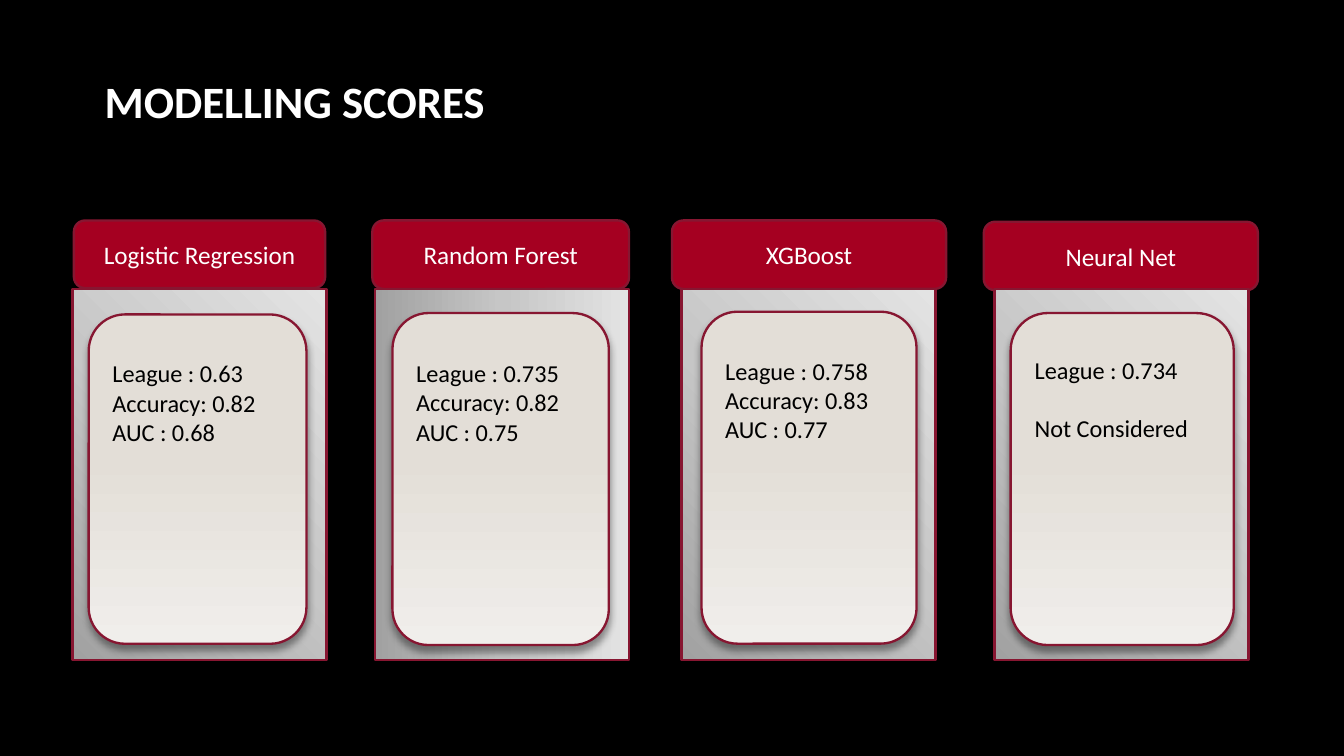
from dataclasses import dataclass

from lxml import etree
from pptx import Presentation
from pptx import util as u
from pptx.dml.color import RGBColor
from pptx.enum import shapes, text
from pptx.oxml import ns

SLIDE_W = u.Inches(10)
SLIDE_H = SLIDE_W * 9 // 16
FONT = "Calibri"
COLORS = {
    "background": "000000", "tab": "A50021", "border": "871631",
    "light": "FFFFFF", "dark": "000000", "shadow": "000000",
}
PANEL_STOPS = [(0, "A1A1A1"), (50, "C6C6C6"), (100, "E3E3E3")]
CARD_STOPS = [(43, "E3DED7"), (100, "F0EEEB")]


@dataclass
class Box:
    """A place on the slide, in percent of its width and height."""
    left: float
    top: float
    width: float
    height: float

    def emu(self) -> list[int]:
        return [round(share * size / 100) for share, size in
                zip((self.left, self.top, self.width, self.height),
                    (SLIDE_W, SLIDE_H) * 2)]


@dataclass
class Model:
    name: str
    scores: list[str]
    tab: Box
    panel_left: float
    card: Box
    panel_angle: int = 315
    text_top: float = 0.25
    gap_after_first: float = 0


MODELS = [
    Model("Logistic Regression",
          ["League : 0.63", "Accuracy: 0.82", "AUC : 0.68"],
          Box(5.5, 29.16, 18.7, 8.95), 5.4, Box(6.6, 41.6, 16.2, 43.56)),
    Model("Random Forest",
          ["League : 0.735", "Accuracy: 0.82", "AUC : 0.75"],
          Box(27.7, 29.16, 19.1, 9.07), 27.9, Box(29.2, 41.42, 16.1, 43.91),
          panel_angle=0, text_top=0.26),
    Model("XGBoost",
          ["League : 0.758", "Accuracy: 0.83", "AUC : 0.77"],
          Box(50, 29.16, 20.4, 9.07), 50.7, Box(52.2, 41.24, 16, 43.91)),
    Model("Neural Net",
          ["League : 0.734", "Not Considered"],
          Box(73.2, 29.33, 20.4, 9.07), 74, Box(75.2, 41.42, 16.6, 43.91),
          text_top=0.23, gap_after_first=15.9),
]


def rgb(name: str) -> RGBColor:
    return RGBColor.from_string(COLORS[name])


def add_block(slide, kind, box: Box):
    block = slide.shapes.add_shape(kind, *box.emu())
    block.shadow.inherit = False
    block.line.color.rgb = rgb("border")
    block.line.width = u.Pt(1.25)
    return block


def set_gradient(block, stops: list[tuple[int, str]], angle: int) -> None:
    """Fill with stops in percent, at an angle in clockwise degrees."""
    block.fill.gradient()
    gradient = block._element.spPr.find(ns.qn("a:gradFill"))
    stop_list = gradient.find(ns.qn("a:gsLst"))
    for old_stop in list(stop_list):
        stop_list.remove(old_stop)
    for position, color in stops:
        stop = etree.SubElement(stop_list, ns.qn("a:gs"), pos=str(position * 1000))
        etree.SubElement(stop, ns.qn("a:srgbClr"), val=color)
    gradient.find(ns.qn("a:lin")).set("ang", str(angle * 60000))


def set_shadow(block, angle: int) -> None:
    effects = block._element.spPr.find(ns.qn("a:effectLst"))
    shadow = etree.SubElement(
        effects, ns.qn("a:outerShdw"), blurRad=str(u.Pt(4)),
        dist=str(u.Pt(3)), dir=str(angle * 60000), rotWithShape="0")
    color = etree.SubElement(shadow, ns.qn("a:srgbClr"), val=COLORS["shadow"])
    etree.SubElement(color, ns.qn("a:alpha"), val="40000")


def write(frame, lines: list[str], size: float, color: str,
          align=text.PP_ALIGN.LEFT, bold: bool = False) -> None:
    frame.word_wrap = True
    frame.text = "\n".join(lines)
    for paragraph in frame.paragraphs:
        paragraph.alignment = align
        for run in paragraph.runs:
            run.font.name = FONT
            run.font.size = u.Pt(size)
            run.font.bold = bold
            run.font.color.rgb = rgb(color)


def draw_title(slide) -> None:
    title = slide.shapes.add_textbox(*Box(6.8, 8.75, 93.2, 11.2).emu())
    frame = title.text_frame
    frame.margin_left = frame.margin_right = u.Inches(0.1)
    frame.margin_top = frame.margin_bottom = u.Inches(0.1)
    write(frame, ["MODELLING SCORES"], 24, "light", bold=True)
    frame.paragraphs[0].line_spacing = 0.9


def draw_tab(slide, model: Model) -> None:
    tab = add_block(slide, shapes.MSO_SHAPE.ROUNDED_RECTANGLE, model.tab)
    tab.fill.solid()
    tab.fill.fore_color.rgb = rgb("tab")
    set_shadow(tab, 135)
    tab.text_frame.vertical_anchor = text.MSO_ANCHOR.MIDDLE
    write(tab.text_frame, [model.name], 13.5, "light", text.PP_ALIGN.CENTER)


def draw_panel(slide, model: Model) -> None:
    panel = add_block(slide, shapes.MSO_SHAPE.RECTANGLE,
                      Box(model.panel_left, 38.22, 18.9, 49.07))
    set_gradient(panel, PANEL_STOPS, model.panel_angle)


def draw_card(slide, model: Model) -> None:
    card = add_block(slide, shapes.MSO_SHAPE.ROUNDED_RECTANGLE, model.card)
    set_gradient(card, CARD_STOPS, 90)
    set_shadow(card, 90)
    frame = card.text_frame
    frame.vertical_anchor = text.MSO_ANCHOR.TOP
    frame.margin_top = u.Inches(model.text_top)
    write(frame, model.scores, 13, "dark")
    frame.paragraphs[0].space_after = u.Pt(model.gap_after_first)


def main() -> None:
    deck = Presentation()
    deck.slide_width, deck.slide_height = SLIDE_W, SLIDE_H
    slide = deck.slides.add_slide(deck.slide_layouts[6])
    slide.background.fill.solid()
    slide.background.fill.fore_color.rgb = rgb("background")
    for draw in (draw_tab, draw_panel, draw_card):
        for model in MODELS:
            draw(slide, model)
    draw_title(slide)
    deck.save("out.pptx")


if __name__ == "__main__":
    main()
